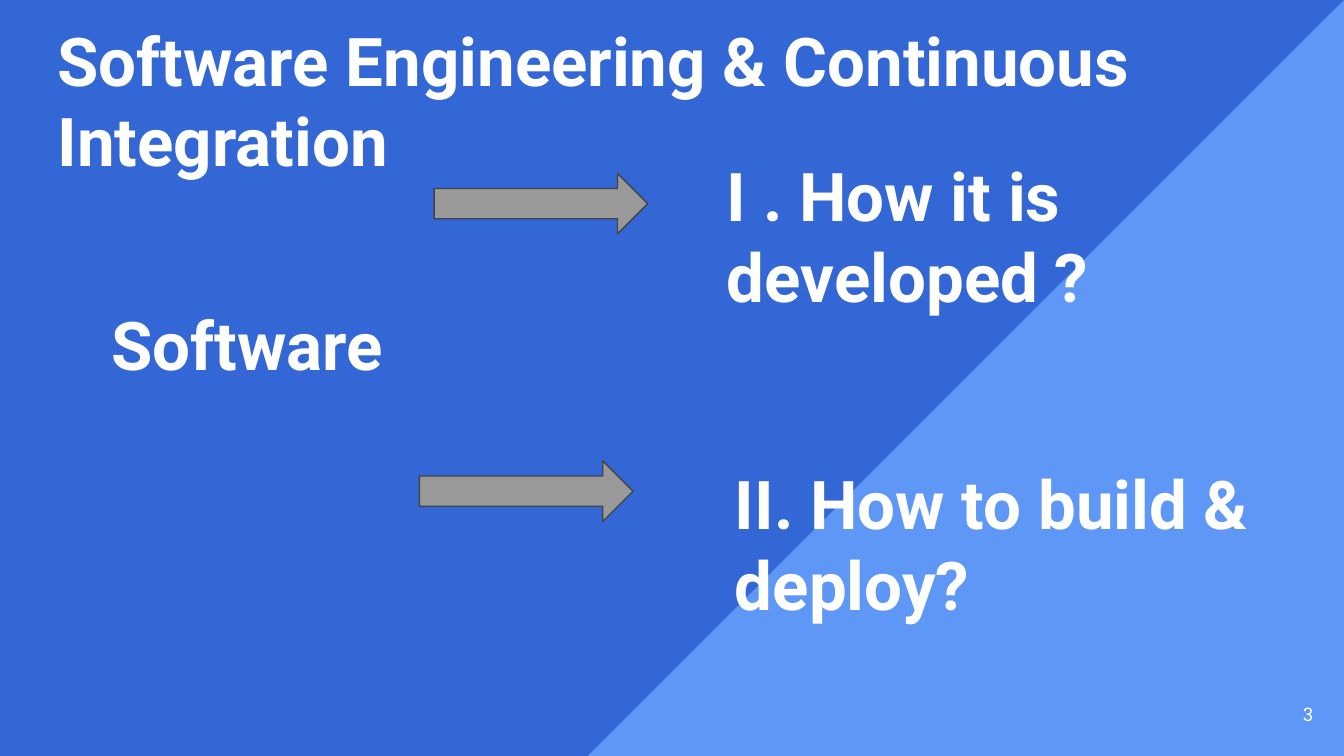
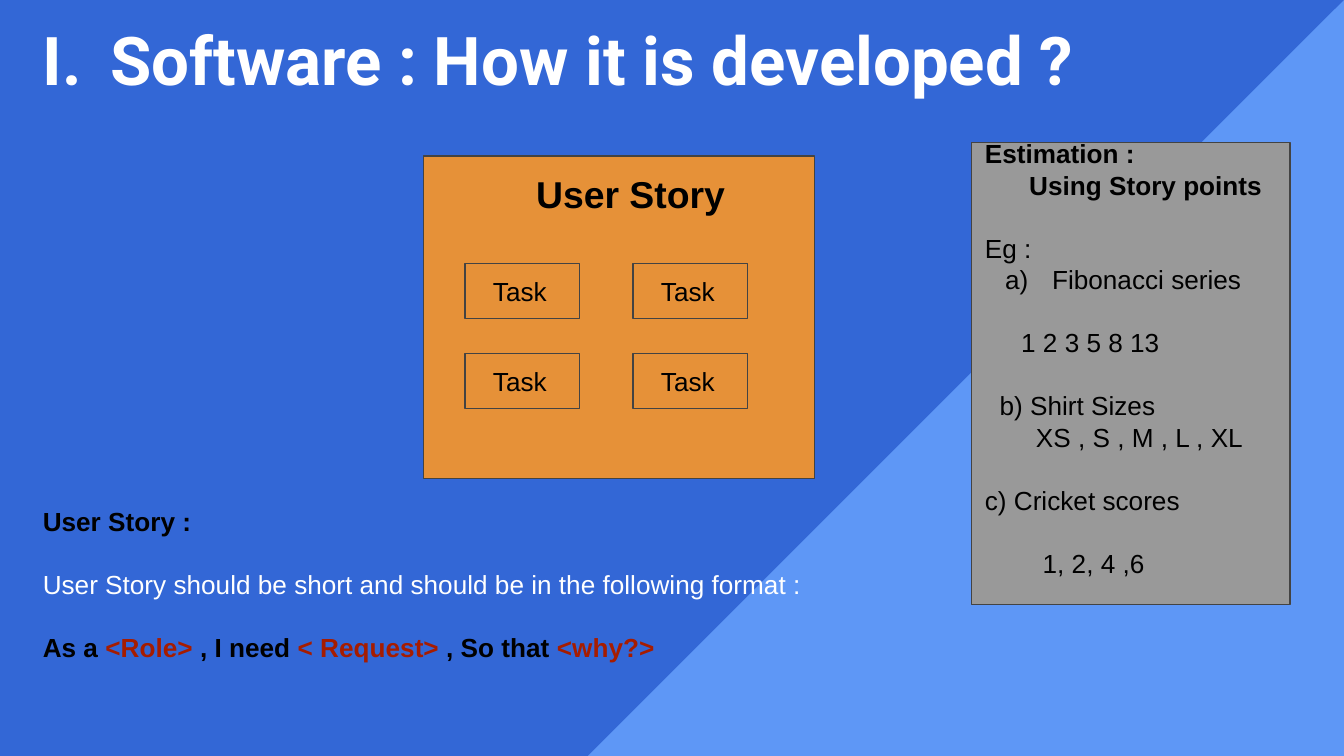
from lxml.etree import SubElement
from pptx import Presentation
from pptx.dml.color import RGBColor
from pptx.enum.shapes import MSO_SHAPE as Preset
from pptx.enum.text import MSO_ANCHOR as Anchor, PP_ALIGN as Align
from pptx.oxml.ns import qn
from pptx.util import Inches, Pt

# Shared style
BLUE = RGBColor(0x33, 0x67, 0xD6)
LIGHT_BLUE = RGBColor(0x5E, 0x97, 0xF6)
WHITE = RGBColor(0xFF, 0xFF, 0xFF)
BLACK = RGBColor(0x00, 0x00, 0x00)
GRAY = RGBColor(0x99, 0x99, 0x99)
DARK_GRAY = RGBColor(0x43, 0x43, 0x43)
ORANGE = RGBColor(0xE6, 0x91, 0x38)
RED = RGBColor(0xA6, 0x1C, 0x00)

WIDTH = 10
HEIGHT = WIDTH * 9 / 16
LINE_GAP = 17  # one empty line of body text, in points
HEADING = {"size": 36, "font": "Roboto", "color": WHITE, "bold": True}


def write_text(frame, text, size=14, font="Arial", color=BLACK, bold=False,
               align=Align.LEFT, before=0, indent=0, hang=0, numbering=None):
    """Append a paragraph; text is a string or a list of (string, colour) runs."""
    paragraph = frame.paragraphs[0]
    if paragraph.runs:
        paragraph = frame.add_paragraph()
    paragraph.alignment = align
    paragraph.space_before = Pt(before)
    runs = [(text, color)] if isinstance(text, str) else text
    for words, run_color in runs:
        run = paragraph.add_run()
        run.text = words
        run.font.size = Pt(size)
        run.font.name = font
        run.font.bold = bold
        run.font.color.rgb = run_color

    properties = paragraph._p.get_or_add_pPr()
    properties.set("marL", str(Inches(indent)))
    properties.set("indent", str(-Inches(hang)))
    if numbering:
        bullet_color = SubElement(properties, qn("a:buClr"))
        SubElement(bullet_color, qn("a:srgbClr"), val=str(color))
        SubElement(properties, qn("a:buFont"), typeface=font)
        SubElement(properties, qn("a:buAutoNum"), type=numbering)


def prepare_frame(shape, anchor, top=0.1, bottom=0.1):
    frame = shape.text_frame
    frame.word_wrap = True
    frame.vertical_anchor = anchor
    frame.margin_left = frame.margin_right = Inches(0.1)
    frame.margin_top, frame.margin_bottom = Inches(top), Inches(bottom)
    return frame


def add_text_box(slide, left, top, width, height, anchor=Anchor.TOP):
    box = slide.shapes.add_textbox(*map(Inches, (left, top, width, height)))
    return prepare_frame(box, anchor)


def add_shape(slide, preset, left, top, width, height, fill, outline=DARK_GRAY):
    shape = slide.shapes.add_shape(preset, *map(Inches, (left, top, width, height)))
    shape.shadow.inherit = False
    shape.fill.solid()
    shape.fill.fore_color.rgb = fill
    if outline is None:
        shape.line.fill.background()
    else:
        shape.line.color.rgb = outline
        shape.line.width = Pt(0.75)
    return shape


def add_heading(slide, text, left, top, width, height, anchor=Anchor.TOP, **options):
    write_text(add_text_box(slide, left, top, width, height, anchor),
               text, **HEADING, **options)


def add_blue_slide(presentation):
    slide = presentation.slides.add_slide(presentation.slide_layouts[6])
    add_shape(slide, Preset.RECTANGLE, 0, 0, WIDTH, HEIGHT, BLUE, None)
    corner = add_shape(slide, Preset.RIGHT_TRIANGLE, WIDTH - HEIGHT, 0,
                       HEIGHT, HEIGHT, LIGHT_BLUE, None)
    corner.rotation = 270
    return slide


def build_overview(presentation):
    slide = add_blue_slide(presentation)
    add_heading(slide, "Software", 0.73, 0.55, 8.73, 4.02, Anchor.MIDDLE)
    for left, top in ((3.23, 1.29), (3.12, 3.43)):
        add_shape(slide, Preset.RIGHT_ARROW, left, top, 1.59, 0.45, GRAY)
    add_heading(slide, "I . How it is developed ?", 5.31, 1.05, 4.21, 1.26)
    add_heading(slide, "II. How to build & deploy?", 5.37, 3.34, 4.09, 0.89)
    page_number = add_text_box(slide, 9.27, 5.1, 0.6, 0.43, Anchor.MIDDLE)
    write_text(page_number, "3", size=10, font="Roboto", color=WHITE, align=Align.RIGHT)
    add_heading(slide, "Software Engineering & Continuous Integration",
                0.33, 0, 9.39, 1.48, Anchor.MIDDLE)


def add_story_card(slide):
    add_shape(slide, Preset.RECTANGLE, 3.15, 1.16, 2.91, 2.4, ORANGE)
    label = add_text_box(slide, 3.34, 1.17, 2.51, 0.48)
    write_text(label, "User Story", size=20, bold=True, indent=0.55)
    for column in range(2):
        for row in range(2):
            task = add_shape(slide, Preset.RECTANGLE, 3.46 + 1.25 * column,
                             1.96 + 0.67 * row, 0.85, 0.41, ORANGE)
            write_text(prepare_frame(task, Anchor.MIDDLE), "Task", indent=0.11)


def add_story_format(slide):
    frame = add_text_box(slide, 0.22, 3.66, 5.94, 1.31)
    write_text(frame, "User Story :", bold=True)
    write_text(frame, "User Story should be short and should be in the following format :",
               color=WHITE, before=LINE_GAP)
    write_text(frame, [("As a ", BLACK), ("<Role>", RED), (" , I need ", BLACK),
                       ("< Request>", RED), (" , So that ", BLACK), ("<why?>", RED)],
               bold=True, before=LINE_GAP)


def add_estimation_panel(slide):
    panel = add_shape(slide, Preset.RECTANGLE, 7.23, 1.06, 2.37, 3.44, GRAY)
    frame = prepare_frame(panel, Anchor.MIDDLE, top=0, bottom=0.23)
    gap = {"before": LINE_GAP}
    write_text(frame, "Estimation :", bold=True)
    write_text(frame, "Using Story points", bold=True, indent=0.33)
    write_text(frame, "Eg :", **gap)
    write_text(frame, "Fibonacci series", indent=0.5, hang=0.35, numbering="alphaLcParenR")
    write_text(frame, "1 2 3 5 8 13", indent=0.27, **gap)
    write_text(frame, "b) Shirt Sizes", indent=0.11, **gap)
    write_text(frame, "XS , S , M , L , XL", indent=0.38)
    write_text(frame, "c) Cricket scores", **gap)
    write_text(frame, "1, 2, 4 ,6", indent=0.43, **gap)


def build_development(presentation):
    slide = add_blue_slide(presentation)
    add_heading(slide, "Software : How it is developed ?", 0.22, 0.04, 9.39, 0.83,
                indent=0.5, hang=0.5, numbering="romanUcPeriod")
    add_story_card(slide)
    add_story_format(slide)
    add_estimation_panel(slide)


def main():
    presentation = Presentation()
    presentation.slide_width = Inches(WIDTH)
    presentation.slide_height = Inches(HEIGHT)
    build_overview(presentation)
    build_development(presentation)
    presentation.save("out.pptx")


if __name__ == "__main__":
    main()
